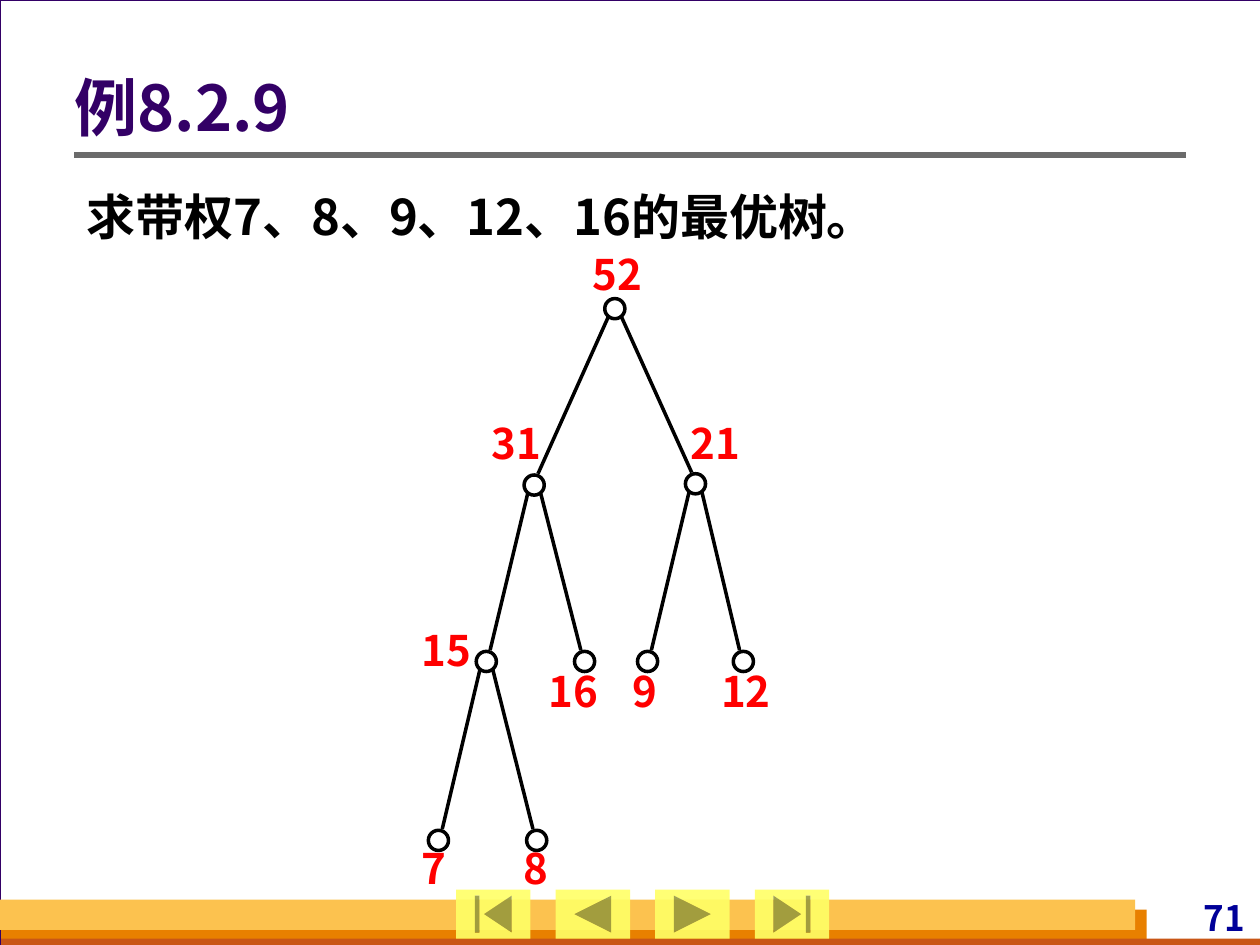
"""Build the slide showing an optimal weighted tree, saved as out.pptx."""
from dataclasses import dataclass

import pptx
import pptx.dml.color
import pptx.enum.shapes
import pptx.enum.text
import pptx.oxml
import pptx.oxml.ns
import pptx.util
from pptx.util import Inches

RGBColor = pptx.dml.color.RGBColor
Shape = pptx.enum.shapes.MSO_SHAPE
Align = pptx.enum.text.PP_ALIGN
Anchor = pptx.enum.text.MSO_ANCHOR

WHITE = RGBColor(0xFF, 0xFF, 0xFF)
BLACK = RGBColor(0x00, 0x00, 0x00)
RED = RGBColor(0xFF, 0x00, 0x00)
PURPLE = RGBColor(0x33, 0x00, 0x66)
NAVY = RGBColor(0x00, 0x00, 0x99)
GREY = RGBColor(0x6B, 0x6B, 0x6B)
PALE_GREY = RGBColor(0xD8, 0xDA, 0xDA)
ORANGE = RGBColor(0xE8, 0x80, 0x00)
RUST = RGBColor(0xC9, 0x56, 0x16)
AMBER = RGBColor(0xFC, 0xC2, 0x4F)
YELLOW = RGBColor(0xFF, 0xFF, 0x66)
FONT = "Noto Sans CJK SC"
NODE_SIZE = 0.16


@dataclass
class Node:
    weight: int
    x: float
    y: float
    label_x: float
    label_y: float
    children: tuple["Node", ...] = ()


@dataclass
class Band:
    left: float
    top: float
    width: float
    height: float
    color: RGBColor


BANDS = (
    Band(0.01, 7.22, 9.09, 0.28, ORANGE),
    Band(0.01, 7.45, 10, 0.08, RUST),
    Band(0, 7.14, 9.01, 0.24, AMBER),
)
BUTTONS = (
    Shape.ACTION_BUTTON_BEGINNING,
    Shape.ACTION_BUTTON_BACK_OR_PREVIOUS,
    Shape.ACTION_BUTTON_FORWARD_OR_NEXT,
    Shape.ACTION_BUTTON_END,
)
TREE = Node(52, 4.88, 2.45, 4.9, 1.97, (
    Node(31, 4.24, 3.85, 4.1, 3.31, (
        Node(15, 3.86, 5.25, 3.54, 4.96, (
            Node(7, 3.48, 6.67, 3.44, 6.69),
            Node(8, 4.26, 6.67, 4.25, 6.69),
        )),
        Node(16, 4.64, 5.25, 4.55, 5.28),
    )),
    Node(21, 5.52, 3.84, 5.68, 3.31, (
        Node(9, 5.14, 5.25, 5.12, 5.28),
        Node(12, 5.9, 5.25, 5.92, 5.28),
    )),
))


def add_figure(slide, kind, left: float, top: float, width: float, height: float, color: RGBColor):
    figure = slide.shapes.add_shape(kind, Inches(left), Inches(top), Inches(width), Inches(height))
    figure.shadow.inherit = False
    figure.fill.solid()
    figure.fill.fore_color.rgb = color
    figure.line.fill.background()
    return figure


def outline(figure, color: RGBColor, width: float) -> None:
    figure.line.color.rgb = color
    figure.line.width = pptx.util.Pt(width)


def add_line(slide, start: tuple[float, float], end: tuple[float, float], color: RGBColor, width: float) -> None:
    line = slide.shapes.add_connector(
        pptx.enum.shapes.MSO_CONNECTOR.STRAIGHT, *map(Inches, start), *map(Inches, end))
    outline(line, color, width)
    properties = line.element.find(pptx.oxml.ns.qn("p:spPr"))
    properties.append(pptx.oxml.parse_xml(f'<a:effectLst {pptx.oxml.ns.nsdecls("a")}/>'))


def write(box, text: str, size: float, color: RGBColor, align, anchor, insets: tuple, spacing: float = 1.0) -> None:
    frame = box.text_frame
    frame.text = text
    frame.word_wrap = True
    frame.auto_size = pptx.enum.text.MSO_AUTO_SIZE.NONE
    frame.vertical_anchor = anchor
    frame.margin_left, frame.margin_top, frame.margin_right, frame.margin_bottom = map(Inches, insets)
    para = frame.paragraphs[0]
    para.alignment = align
    para.line_spacing = spacing
    para.space_before = pptx.util.Pt(0)
    for span in para.runs:
        span.font.name = FONT
        span.font.size = pptx.util.Pt(size)
        span.font.bold = True
        span.font.color.rgb = color
        latin = span.font._element.find(pptx.oxml.ns.qn("a:latin"))
        latin.addnext(pptx.oxml.parse_xml(
            f'<a:ea {pptx.oxml.ns.nsdecls("a")} typeface="{FONT}"/>'))


def add_text(slide, left: float, top: float, width: float, height: float, *style) -> None:
    box = slide.shapes.add_textbox(Inches(left), Inches(top), Inches(width), Inches(height))
    write(box, *style)


def add_button(slide, kind, left: float) -> None:
    button = add_figure(slide, kind, left, 7.06, 0.59, 0.39, YELLOW)
    color = button.element.find(".//" + pptx.oxml.ns.qn("a:srgbClr"))
    color.append(pptx.oxml.parse_xml(f'<a:alpha {pptx.oxml.ns.nsdecls("a")} val="90000"/>'))


def add_tree(slide, node: Node) -> None:
    for child in node.children:
        side = 1 if child.x > node.x else -1
        start = (node.x + side * 0.05, node.y + 0.06)
        end = (child.x - side * 0.03, child.y - 0.09)
        add_line(slide, start, end, BLACK, 2)
        add_tree(slide, child)
    circle = add_figure(slide, Shape.OVAL, node.x - NODE_SIZE / 2, node.y - NODE_SIZE / 2,
                        NODE_SIZE, NODE_SIZE, WHITE)
    outline(circle, BLACK, 2)
    label = str(node.weight)
    width = 0.63 if len(label) == 2 else 0.31
    add_text(slide, node.label_x - width / 2, node.label_y, width, 0.4,
             label, 24, RED, Align.CENTER, Anchor.MIDDLE, (0, 0, 0, 0))


def main() -> None:
    deck = pptx.Presentation()
    deck.slide_width, deck.slide_height = Inches(10), Inches(7.5)
    slide = deck.slides.add_slide(deck.slide_layouts[5])
    slide.background.fill.solid()
    slide.background.fill.fore_color.rgb = PALE_GREY

    page = add_figure(slide, Shape.RECTANGLE, 0, 0, 10.01, 7.5, WHITE)
    outline(page, PURPLE, 0.75)
    for band in BANDS:
        add_figure(slide, Shape.RECTANGLE, band.left, band.top, band.width, band.height, band.color)
    add_text(slide, 8.86, 7.12, 1.06, 0.33, "71", 20, NAVY, Align.RIGHT, Anchor.MIDDLE, (0.04, 0, 0.04, 0))
    add_line(slide, (0.59, 1.23), (9.41, 1.23), GREY, 3)
    for index, kind in enumerate(BUTTONS):
        add_button(slide, kind, 3.62 + index * 0.79)

    title = slide.shapes.title
    title.left, title.top, title.width, title.height = map(Inches, (0.59, 0.38, 8.82, 1.01))
    write(title, "例8.2.9", 36, PURPLE, Align.LEFT, Anchor.MIDDLE, (0, 0.05, 0.1, 0.05), 0.9)
    page.element.getparent().append(title.element)
    add_text(slide, 0.59, 1.34, 8.82, 0.66, "求带权7、8、9、12、16的最优树。",
             28, BLACK, Align.JUSTIFY, Anchor.TOP, (0.1, 0.05, 0.1, 0.05), 1.2)
    add_tree(slide, TREE)
    deck.save("out.pptx")


if __name__ == "__main__":
    main()
